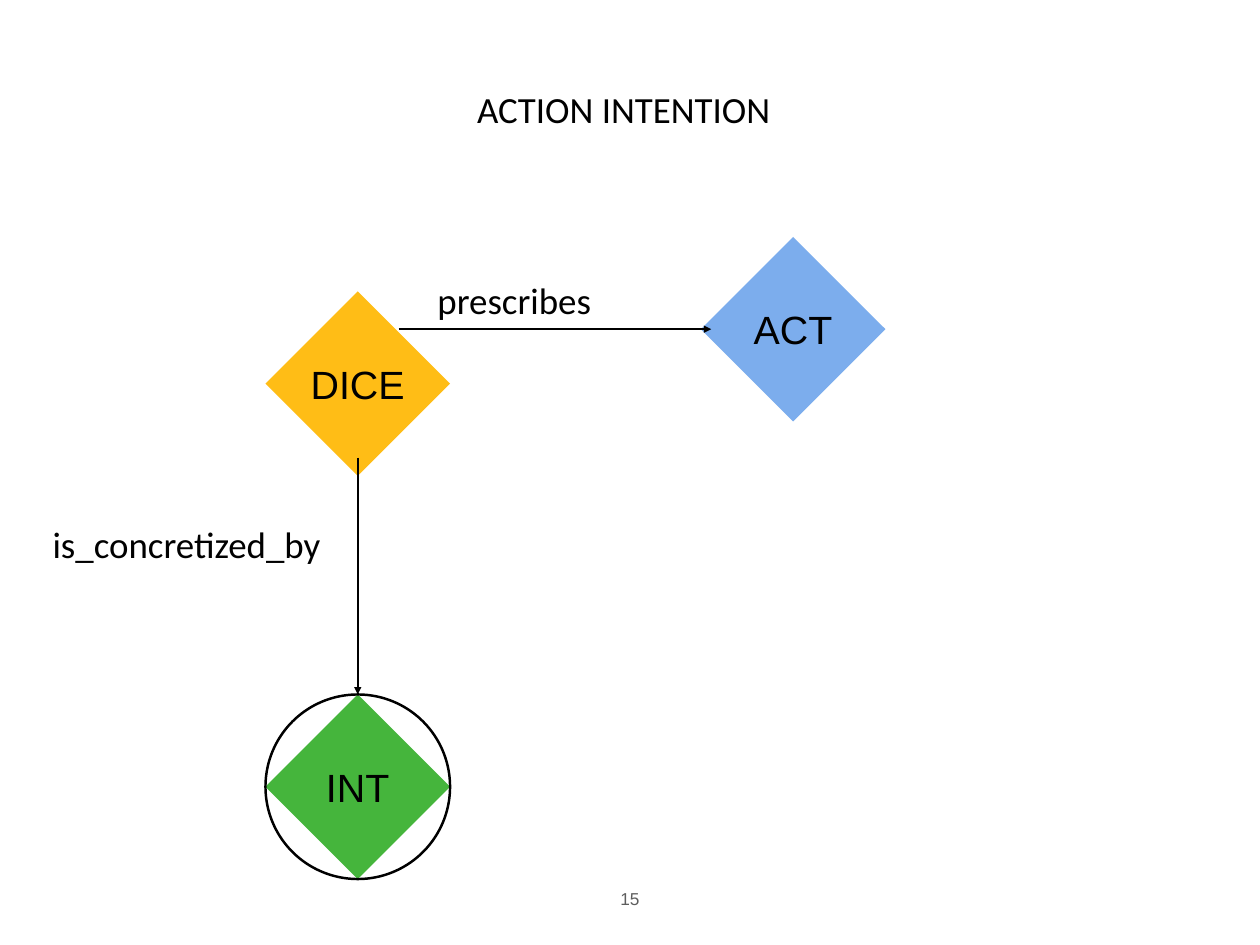
from dataclasses import dataclass

import lxml.etree
import pptx
import pptx.dml.color
import pptx.enum.shapes
import pptx.enum.text
import pptx.oxml.ns
import pptx.shapes.autoshape
import pptx.shapes.connector
import pptx.slide
import pptx.text.text
import pptx.util

RGB = pptx.dml.color.RGBColor
ALIGN = pptx.enum.text.PP_ALIGN
ANCHOR = pptx.enum.text.MSO_ANCHOR
AUTO_SIZE = pptx.enum.text.MSO_AUTO_SIZE
SHAPE = pptx.enum.shapes.MSO_SHAPE

BLACK = RGB(0x00, 0x00, 0x00)
GREY = RGB(0x5E, 0x5E, 0x5E)
BLUE = RGB(0x7C, 0xAD, 0xED)
AMBER = RGB(0xFF, 0xBD, 0x16)
GREEN = RGB(0x45, 0xB5, 0x3C)

SLIDE_WIDTH = pptx.util.Inches(14.22)
SLIDE_HEIGHT = pptx.util.Inches(10.67)
COLUMNS, ROWS = 128, 96
NODE_SIZE = 18.75
INSET = pptx.util.Inches(0.06)
LINE_WIDTH = pptx.util.Pt(2)


@dataclass(frozen=True)
class Node:
    text: str
    column: float
    row: float
    color: RGB

    @property
    def middle_column(self) -> float:
        return self.column + NODE_SIZE / 2

    @property
    def middle_row(self) -> float:
        return self.row + NODE_SIZE / 2


@dataclass(frozen=True)
class Label:
    text: str
    column: float
    row: float
    width: float
    height: float


@dataclass(frozen=True)
class Arrow:
    start: tuple[float, float]
    end: tuple[float, float]


ACT = Node("ACT", 71.2, 24.07, BLUE)
DICE = Node("DICE", 26.97, 29.6, AMBER)
INT = Node("INT", 26.97, 70.55, GREEN)

TITLE = Label("ACTION INTENTION", 47.92, 5.5, 32.1, 11.6)
PAGE_NUMBER = Label("15", 62, 89.7, 4, 3.2)
RELATIONS = (
    Label("prescribes", 43.9, 27.45, 18.7, 6.6),
    Label("is_concretized_by", 4.8, 52.2, 31.8, 6.6),
)
PRESCRIBES = Arrow((40.5, ACT.middle_row), (72.25, ACT.middle_row))
CONCRETIZED = Arrow((DICE.middle_column, 46.5), (INT.middle_column, INT.row))


def x(columns: float) -> int:
    return round(SLIDE_WIDTH * columns / COLUMNS)


def y(rows: float) -> int:
    return round(SLIDE_HEIGHT * rows / ROWS)


def write(frame: pptx.text.text.TextFrame, text: str, font: str, size: float,
          color: RGB, align: ALIGN, anchor: ANCHOR = ANCHOR.MIDDLE,
          wrap: bool = False) -> pptx.text.text._Paragraph:
    frame.margin_left = frame.margin_right = INSET
    frame.margin_top = frame.margin_bottom = INSET
    frame.word_wrap = wrap
    frame.vertical_anchor = anchor
    frame.text = text
    paragraph = frame.paragraphs[0]
    paragraph.alignment = align
    paragraph.font.name = font
    paragraph.font.size = pptx.util.Pt(size)
    paragraph.font.color.rgb = color
    return paragraph


def write_caption(frame: pptx.text.text.TextFrame, text: str, wrap: bool = False) -> None:
    """Write in the style shared by the title and the relation names."""
    paragraph = write(frame, text, "Calibri", 30, BLACK, ALIGN.LEFT, wrap=wrap)
    paragraph.line_spacing = 0.9
    paragraph.space_before = pptx.util.Pt(20)


def add_title(slide: pptx.slide.Slide) -> None:
    title = slide.shapes.title
    title.left, title.top = x(TITLE.column), y(TITLE.row)
    title.width, title.height = x(TITLE.width), y(TITLE.height)
    write_caption(title.text_frame, TITLE.text, wrap=True)
    title.text_frame.auto_size = AUTO_SIZE.NONE


def add_node_shape(slide: pptx.slide.Slide, node: Node,
                   outline: SHAPE) -> pptx.shapes.autoshape.Shape:
    shape = slide.shapes.add_shape(
        outline, x(node.column), y(node.row), x(NODE_SIZE), y(NODE_SIZE))
    shape.shadow.inherit = False
    return shape


def add_node(slide: pptx.slide.Slide, node: Node) -> pptx.shapes.autoshape.Shape:
    diamond = add_node_shape(slide, node, SHAPE.DIAMOND)
    diamond.fill.solid()
    diamond.fill.fore_color.rgb = node.color
    diamond.line.fill.background()
    write(diamond.text_frame, node.text, "Arial", 32, BLACK, ALIGN.CENTER)
    return diamond


def add_ring(slide: pptx.slide.Slide, node: Node) -> None:
    """Draw the circle that encloses a node."""
    ring = add_node_shape(slide, node, SHAPE.OVAL)
    ring.fill.background()
    ring.line.color.rgb = BLACK
    ring.line.width = LINE_WIDTH


def add_arrow(slide: pptx.slide.Slide, arrow: Arrow) -> pptx.shapes.connector.Connector:
    connector = slide.shapes.add_connector(
        pptx.enum.shapes.MSO_CONNECTOR.STRAIGHT,
        x(arrow.start[0]), y(arrow.start[1]), x(arrow.end[0]), y(arrow.end[1]))
    connector.line.color.rgb = BLACK
    connector.line.width = LINE_WIDTH
    qn = pptx.oxml.ns.qn
    properties = connector.element.spPr
    lxml.etree.SubElement(properties.find(qn("a:ln")), qn("a:tailEnd"), type="triangle")
    lxml.etree.SubElement(properties, qn("a:effectLst"))
    return connector


def add_label_frame(slide: pptx.slide.Slide, label: Label) -> pptx.text.text.TextFrame:
    box = slide.shapes.add_textbox(
        x(label.column), y(label.row), x(label.width), y(label.height))
    box.text_frame.auto_size = AUTO_SIZE.SHAPE_TO_FIT_TEXT
    return box.text_frame


def main() -> None:
    presentation = pptx.Presentation()
    presentation.slide_width = SLIDE_WIDTH
    presentation.slide_height = SLIDE_HEIGHT
    slide = presentation.slides.add_slide(presentation.slide_layouts.get_by_name("Title Only"))

    add_title(slide)
    add_node(slide, ACT)
    add_node(slide, DICE)
    add_arrow(slide, PRESCRIBES)
    intention = add_node(slide, INT)
    add_arrow(slide, CONCRETIZED).end_connect(intention, 0)
    write(add_label_frame(slide, PAGE_NUMBER), PAGE_NUMBER.text, "Arial", 14, GREY,
          ALIGN.CENTER, ANCHOR.BOTTOM)
    for relation in RELATIONS:
        write_caption(add_label_frame(slide, relation), relation.text)
    add_ring(slide, INT)

    presentation.save("out.pptx")


if __name__ == "__main__":
    main()
